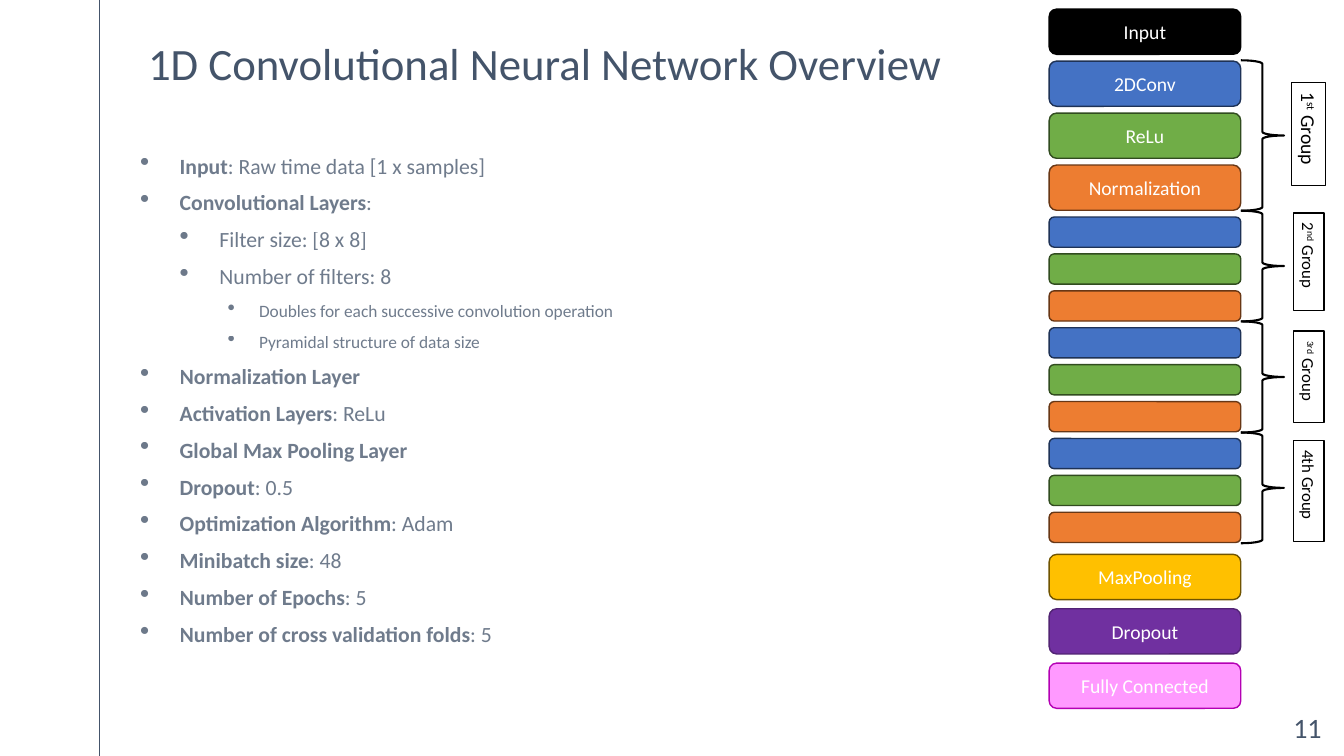
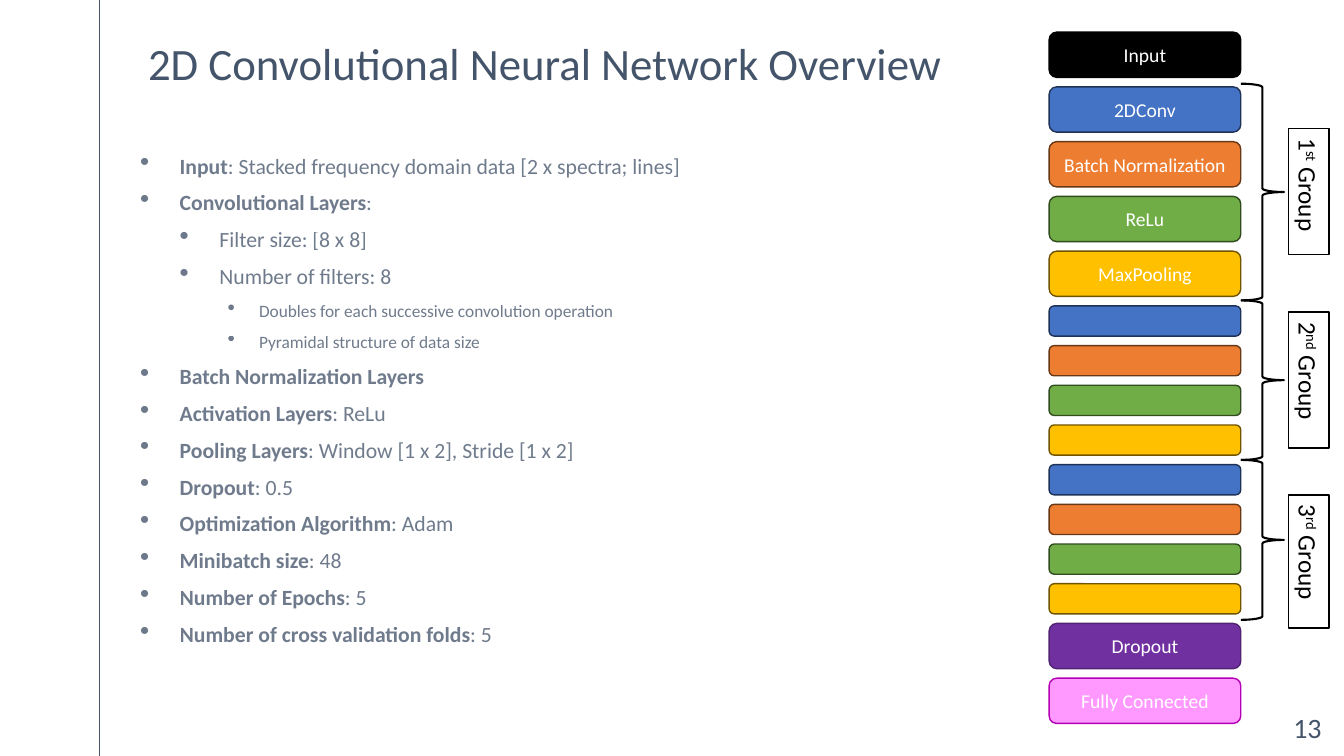
from itertools import pairwise

from lxml.etree import SubElement
from pptx import Presentation
from pptx.dml.color import RGBColor
from pptx.enum.shapes import MSO_CONNECTOR, MSO_SHAPE
from pptx.enum.text import MSO_ANCHOR, MSO_AUTO_SIZE, PP_ALIGN
from pptx.oxml.ns import qn
from pptx.util import Cm, Pt

FONT = "Calibri"
SLATE = RGBColor(0x44, 0x54, 0x6A)
BLACK = RGBColor(0x00, 0x00, 0x00)
WHITE = RGBColor(0xFF, 0xFF, 0xFF)

# Fill and outline of each kind of layer
INPUT = (BLACK, BLACK)
CONVOLUTION = (RGBColor(0x44, 0x72, 0xC4), RGBColor(0x1E, 0x32, 0x56))
NORMALIZATION = (RGBColor(0xED, 0x7D, 0x31), RGBColor(0x68, 0x37, 0x15))
ACTIVATION = (RGBColor(0x70, 0xAD, 0x47), RGBColor(0x31, 0x4C, 0x1F))
POOLING = (RGBColor(0xFF, 0xC0, 0x00), RGBColor(0x70, 0x54, 0x00))
DROPOUT = (RGBColor(0x70, 0x30, 0xA0), RGBColor(0x51, 0x23, 0x73))
CONNECTED = (RGBColor(0xFF, 0x99, 0xFF), RGBColor(0xB4, 0x00, 0xB4))

LAYER_LEFT, LAYER_WIDTH = 26.44, 4.83
NAMED_HEIGHT, PLAIN_HEIGHT = 1.14, 0.76
BRACE_WIDTH = 1.09
LABEL_CENTER = 32.98

# Indent and hanging width in cm, and text size, by bullet level
BULLET_LEVELS = [(1, 1, 15.5), (2, 1, 15.5), (3, 0.79, 12.4)]


def add_span(para, text, *, size, color, bold=False, raised=False, opacity=None):
    span = para.add_run()
    span.text = text
    span.font.name = FONT
    span.font.size = Pt(size)
    span.font.bold = bold
    span.font.color.rgb = color
    properties = span._r.get_or_add_rPr()
    if raised:
        properties.set("baseline", "30000")
    if opacity is not None:
        tint = properties.find(f".//{qn('a:srgbClr')}")
        SubElement(tint, qn("a:alpha"), val=str(opacity * 1000))


def set_frame(frame, left=0, top=0, right=0, bottom=0):
    """Wrap the text, start it at the top and set insets in cm."""
    frame.word_wrap = True
    frame.auto_size = MSO_AUTO_SIZE.NONE
    frame.vertical_anchor = MSO_ANCHOR.TOP
    frame.margin_left, frame.margin_top = Cm(left), Cm(top)
    frame.margin_right, frame.margin_bottom = Cm(right), Cm(bottom)
    return frame


class NetworkDeck:
    """Holds the presentation, its style and the current page."""

    def __init__(self):
        self.deck = Presentation()
        self.deck.slide_width, self.deck.slide_height = Cm(33.87), Cm(19.05)
        self.page = None

    def add_page(self, title, number):
        self.page = self.deck.slides.add_slide(self.deck.slide_layouts[5])
        self.add_margin_rule()
        self.add_title(title)
        self.add_page_number(number)

    def add_margin_rule(self):
        rule = self.page.shapes.add_connector(
            MSO_CONNECTOR.STRAIGHT, Cm(2.5), 0, Cm(2.5), self.deck.slide_height)
        rule.line.color.rgb = SLATE
        rule.line.width = Pt(0.75)
        SubElement(rule._element.spPr, qn("a:effectLst"))

    def add_title(self, text):
        title = self.page.shapes.title
        title.left, title.top = Cm(3.73), Cm(0.89)
        title.width, title.height = Cm(22.25), Cm(2.29)
        para = set_frame(title.text_frame).paragraphs[0]
        para.alignment = PP_ALIGN.LEFT
        add_span(para, text, size=32, color=SLATE)

    def add_page_number(self, number):
        box = self.page.shapes.add_textbox(Cm(29.46), Cm(17.7), Cm(4.1), Cm(1.35))
        para = set_frame(box.text_frame, 0.25, 0.2, 0.25, 0.2).paragraphs[0]
        para.alignment = PP_ALIGN.RIGHT
        add_span(para, str(number), size=20, color=SLATE)

    def add_bullets(self, bullets):
        """Write (level, bold lead, plain rest) items as a bulleted list."""
        box = self.page.shapes.add_textbox(Cm(3.53), Cm(3.84), Cm(22.43), Cm(13.31))
        frame = set_frame(box.text_frame)
        for index, (level, lead, rest) in enumerate(bullets):
            para = frame.add_paragraph() if index else frame.paragraphs[0]
            indent, hanging, size = BULLET_LEVELS[level]
            para.level = level
            para.space_before = Pt(7.7)
            properties = para._p.get_or_add_pPr()
            properties.set("marL", str(Cm(indent)))
            properties.set("indent", str(-Cm(hanging)))
            SubElement(properties, qn("a:buSzPct"), val="125000")
            SubElement(properties, qn("a:buChar"), char="•")
            for text, bold in ((lead, True), (rest, False)):
                if text:
                    add_span(para, text, size=size, color=SLATE, bold=bold, opacity=77)

    def add_shape(self, kind, left, top, width, height, *, fill, line, line_width=1):
        shape = self.page.shapes.add_shape(
            kind, Cm(left), Cm(top), Cm(width), Cm(height))
        shape.shadow.inherit = False
        if fill is None:
            shape.fill.background()
        else:
            shape.fill.solid()
            shape.fill.fore_color.rgb = fill
        shape.line.color.rgb = line
        shape.line.width = Pt(line_width)
        return shape

    def add_layers(self, top, gap, layers):
        """Stack (name, colours) layers downwards; nameless ones are thinner."""
        for name, (fill, line) in layers:
            height = NAMED_HEIGHT if name else PLAIN_HEIGHT
            layer = self.add_shape(MSO_SHAPE.ROUNDED_RECTANGLE, LAYER_LEFT, top,
                                   LAYER_WIDTH, height, fill=fill, line=line)
            if name:
                para = layer.text_frame.paragraphs[0]
                para.alignment = PP_ALIGN.CENTER
                add_span(para, name, size=14, color=WHITE)
            top += height + gap

    def add_braces(self, edges):
        for top, bottom in pairwise(edges):
            self.add_shape(MSO_SHAPE.RIGHT_BRACE, LAYER_LEFT + LAYER_WIDTH, top,
                           BRACE_WIDTH, bottom - top,
                           fill=None, line=BLACK, line_width=1.5)

    def add_group_label(self, center, length, thickness, size, start, raised, end):
        """Add a label turned by 90 degrees, centred at a height in cm."""
        label = self.add_shape(
            MSO_SHAPE.RECTANGLE, LABEL_CENTER - length / 2, center - thickness / 2,
            length, thickness, fill=WHITE, line=BLACK)
        label.rotation = 90
        para = set_frame(label.text_frame, 0.25, 0.13, 0.25, 0.13).paragraphs[0]
        para.alignment = PP_ALIGN.LEFT
        for text, is_raised in ((start, False), (raised, True), (end, False)):
            if text:
                add_span(para, text, size=size, color=BLACK, raised=is_raised)


def overview_bullets(input_data, normalization, pooling, pooling_detail=""):
    return [
        (0, "Input", f": {input_data}"),
        (0, "Convolutional Layers", ":"),
        (1, "", "Filter size: [8 x 8]"),
        (1, "", "Number of filters: 8"),
        (2, "", "Doubles for each successive convolution operation"),
        (2, "", "Pyramidal structure of data size"),
        (0, normalization, ""),
        (0, "Activation Layers", ": ReLu"),
        (0, pooling, pooling_detail),
        (0, "Dropout", ": 0.5"),
        (0, "Optimization Algorithm", ": Adam"),
        (0, "Minibatch size", ": 48"),
        (0, "Number of Epochs", ": 5"),
        (0, "Number of cross validation folds", ": 5"),
    ]


def repeated_groups(named_layers, count):
    """Return one named group of layers, then the same without names."""
    plain_layers = [("", colors) for _, colors in named_layers]
    return named_layers + plain_layers * (count - 1)


def main():
    network = NetworkDeck()
    first = [("Input", INPUT)]
    last = [("Dropout", DROPOUT), ("Fully Connected", CONNECTED)]
    convolution = ("2DConv", CONVOLUTION)
    activation = ("ReLu", ACTIVATION)
    pooling = ("MaxPooling", POOLING)

    network.add_page("1D Convolutional Neural Network Overview", 11)
    network.add_bullets(overview_bullets(
        "Raw time data [1 x samples]", "Normalization Layer",
        "Global Max Pooling Layer"))
    group = [convolution, activation, ("Normalization", NORMALIZATION)]
    network.add_layers(0.23, 0.17, first + repeated_groups(group, 4))
    network.add_layers(13.97, 0.23, [pooling] + last)
    network.add_braces([1.52, 5.31, 8.1, 10.9, 13.69])
    for label in [
        (3.38, 2.59, 0.86, 14, "1", "st", " Group"),
        (6.6, 2.46, 0.77, 12, "2", "nd", " Group"),
        (9.5, 2.31, 0.77, 12, "", "3rd", " Group"),
        (12.37, 2.54, 0.77, 12, "4th Group", "", ""),
    ]:
        network.add_group_label(*label)

    network.add_page("2D Convolutional Neural Network Overview", 13)
    network.add_bullets(overview_bullets(
        "Stacked frequency domain data [2 x spectra; lines]",
        "Batch Normalization Layers",
        "Pooling Layers", ": Window [1 x 2], Stride [1 x 2]"))
    group = [convolution, ("Batch Normalization", NORMALIZATION), activation, pooling]
    network.add_layers(0.81, 0.24, first + repeated_groups(group, 3) + last)
    network.add_braces([2.11, 7.57, 11.59, 15.62])
    for center, length, digit, suffix in [
        (4.83, 3.18, "1", "st"),
        (9.58, 3.43, "2", "nd"),
        (14.15, 3.35, "3", "rd"),
    ]:
        network.add_group_label(center, length, 1.02, 18, digit, suffix, " Group")

    network.deck.save("out.pptx")


if __name__ == "__main__":
    main()
